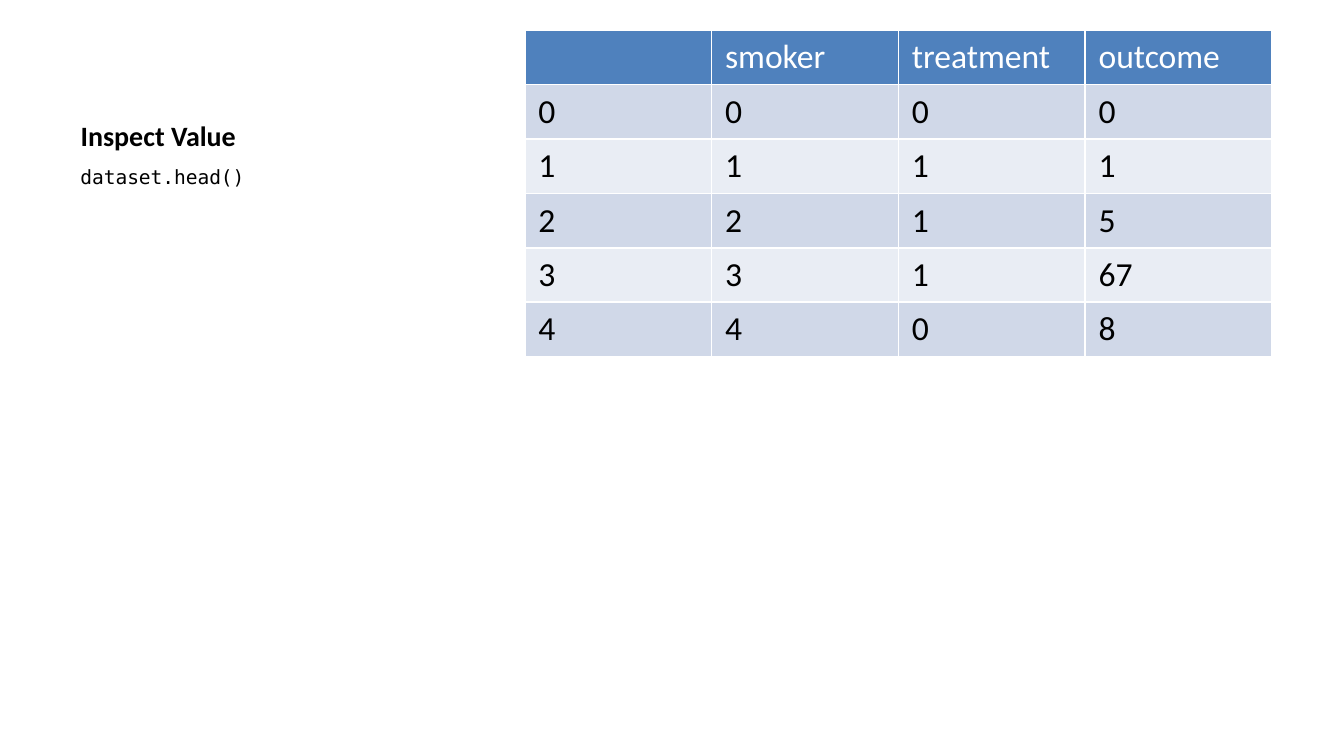
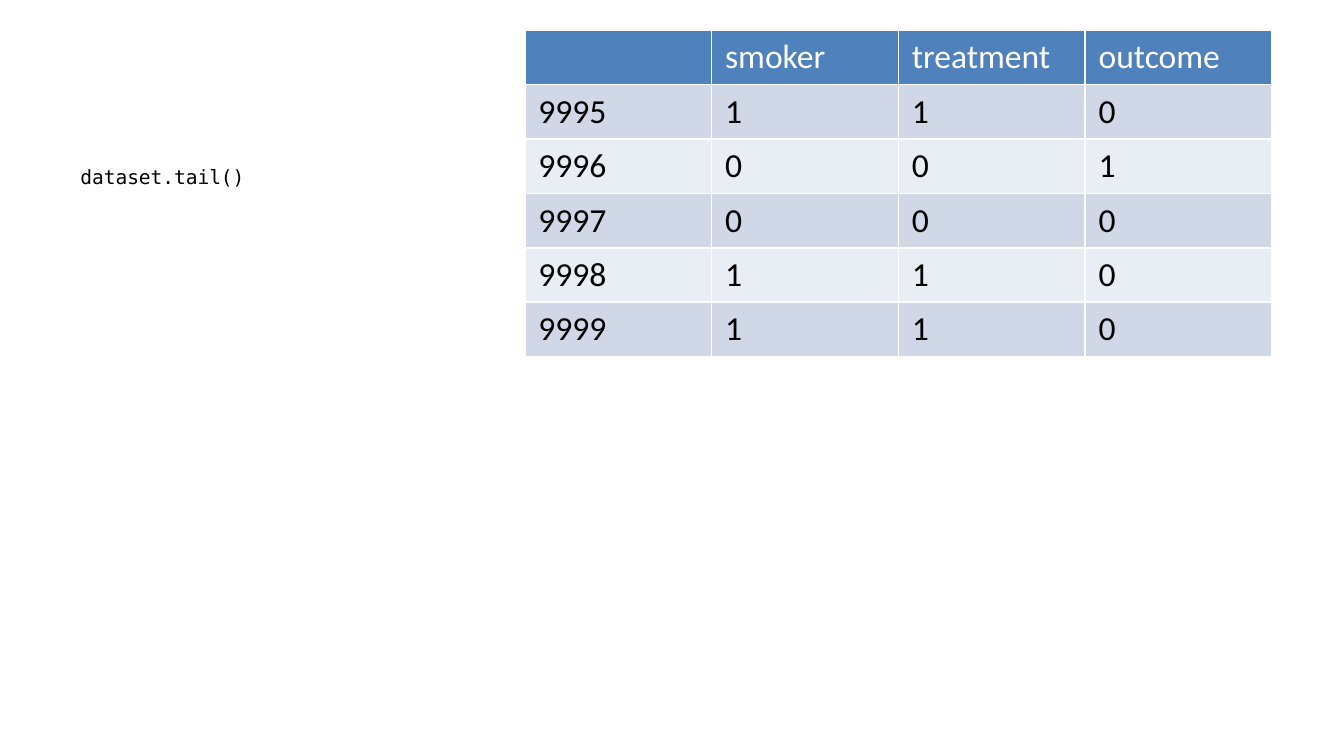
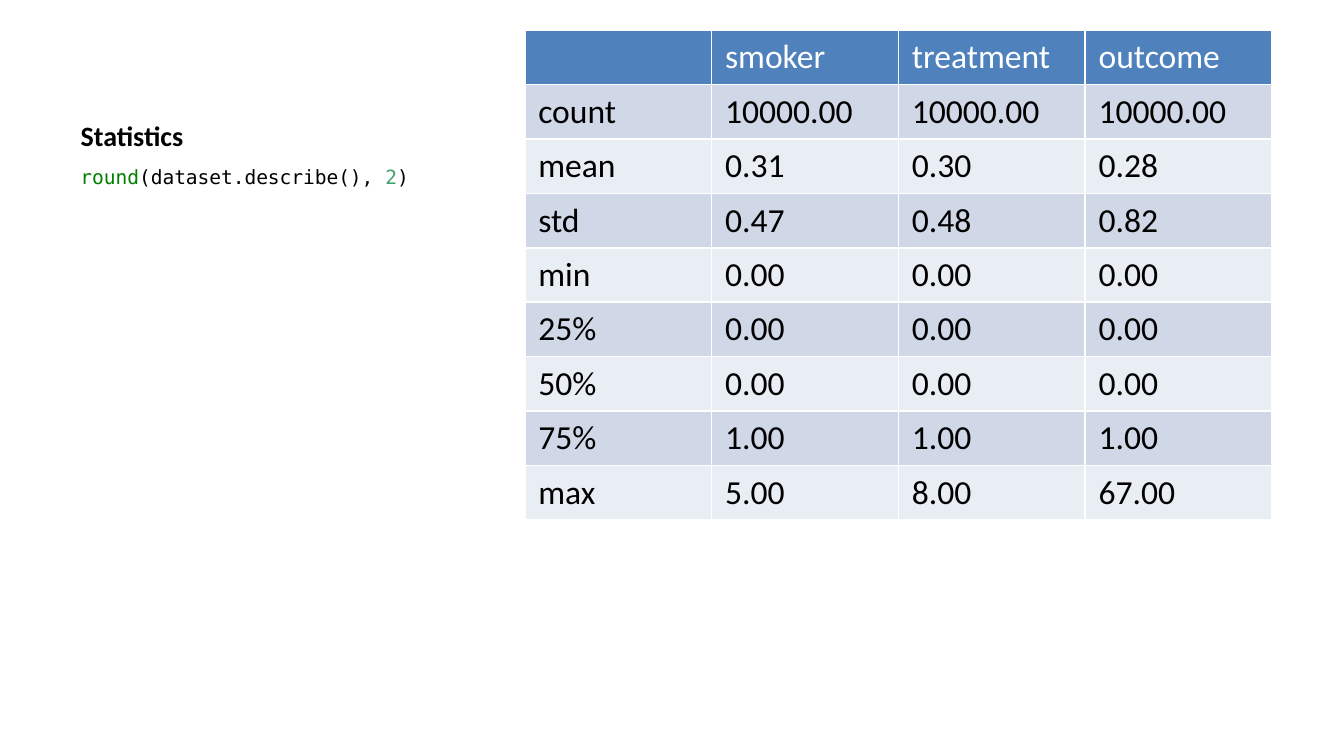
from collections import namedtuple

from pptx import Presentation
from pptx.dml.color import RGBColor
from pptx.enum.text import MSO_ANCHOR, MSO_AUTO_SIZE, PP_ALIGN
from pptx.util import Pt

Box = namedtuple("Box", "left top width height")

PX = 4572
SLIDE_WIDTH, SLIDE_HEIGHT = 2000, 1125
TITLE_BOX = Box(100, 45, 658, 191)
CODE_BOX = Box(100, 236, 658, 770)
TABLE_BOX = Box(781, 45, 1112, 958)
ROW_HEIGHT = 81

TITLE_ONLY_LAYOUT, BLANK_LAYOUT = 5, 6
TEXT_FONT = "Calibri"
CODE_FONT = "DejaVu Sans Mono"

BLACK = RGBColor(0x00, 0x00, 0x00)
WHITE = RGBColor(0xFF, 0xFF, 0xFF)
HEADER_BLUE = RGBColor(0x4F, 0x81, 0xBD)
BAND_DARK = RGBColor(0xD0, 0xD8, 0xE8)
BAND_LIGHT = RGBColor(0xE9, 0xED, 0xF4)
FUNCTION_GREEN = RGBColor(0x00, 0x80, 0x00)
NUMBER_GREEN = RGBColor(0x40, 0xA0, 0x70)

HEADER = ["", "smoker", "treatment", "outcome"]

HEAD_ROWS = [
    ["0", "0", "0", "0"],
    ["1", "1", "1", "1"],
    ["2", "2", "1", "5"],
    ["3", "3", "1", "67"],
    ["4", "4", "0", "8"],
]
TAIL_ROWS = [
    ["9995", "1", "1", "0"],
    ["9996", "0", "0", "1"],
    ["9997", "0", "0", "0"],
    ["9998", "1", "1", "0"],
    ["9999", "1", "1", "0"],
]
STATISTICS_ROWS = [
    ["count", "10000.00", "10000.00", "10000.00"],
    ["mean", "0.31", "0.30", "0.28"],
    ["std", "0.47", "0.48", "0.82"],
    ["min", "0.00", "0.00", "0.00"],
    ["25%", "0.00", "0.00", "0.00"],
    ["50%", "0.00", "0.00", "0.00"],
    ["75%", "1.00", "1.00", "1.00"],
    ["max", "5.00", "8.00", "67.00"],
]

SLIDES = [
    ("Inspect Value", [("dataset.head()", BLACK)], HEAD_ROWS),
    (None, [("dataset.tail()", BLACK)], TAIL_ROWS),
    (
        "Statistics",
        [
            ("round", FUNCTION_GREEN),
            ("(dataset.describe(), ", BLACK),
            ("2", NUMBER_GREEN),
            (")", BLACK),
        ],
        STATISTICS_ROWS,
    ),
]


def to_emu(box):
    return [length * PX for length in box]


def add_run(paragraph, text, size, color, font=TEXT_FONT, bold=False):
    run = paragraph.add_run()
    run.text = text
    run.font.name = font
    run.font.size = Pt(size)
    run.font.bold = bold
    run.font.color.rgb = color


def place_title(slide, box, text):
    title = slide.shapes.title
    title.left, title.top, title.width, title.height = to_emu(box)
    frame = title.text_frame
    frame.auto_size = MSO_AUTO_SIZE.NONE
    frame.vertical_anchor = MSO_ANCHOR.BOTTOM
    paragraph = frame.paragraphs[0]
    paragraph.alignment = PP_ALIGN.LEFT
    add_run(paragraph, text, 15, BLACK, bold=True)


def add_code(slide, box, tokens):
    frame = slide.shapes.add_textbox(*to_emu(box)).text_frame
    frame.word_wrap = True
    for text, color in tokens:
        add_run(frame.paragraphs[0], text, 10.5, color, CODE_FONT)


def add_data_table(slide, box, rows):
    table_rows = [HEADER] + rows
    graphic_frame = slide.shapes.add_table(len(table_rows), len(HEADER), *to_emu(box))
    table = graphic_frame.table
    for row_index, values in enumerate(table_rows):
        table.rows[row_index].height = ROW_HEIGHT * PX
        if row_index == 0:
            fill_color, text_color = HEADER_BLUE, WHITE
        else:
            fill_color = BAND_DARK if row_index % 2 else BAND_LIGHT
            text_color = BLACK
        for column_index, value in enumerate(values):
            cell = table.cell(row_index, column_index)
            cell.fill.solid()
            cell.fill.fore_color.rgb = fill_color
            if value:
                add_run(cell.text_frame.paragraphs[0], value, 18, text_color)
    graphic_frame.height = box.height * PX


def add_data_slide(presentation, title, code, rows):
    layout = TITLE_ONLY_LAYOUT if title else BLANK_LAYOUT
    slide = presentation.slides.add_slide(presentation.slide_layouts[layout])
    if title:
        place_title(slide, TITLE_BOX, title)
    add_code(slide, CODE_BOX, code)
    add_data_table(slide, TABLE_BOX, rows)


def main():
    presentation = Presentation()
    presentation.slide_width = SLIDE_WIDTH * PX
    presentation.slide_height = SLIDE_HEIGHT * PX
    for title, code, rows in SLIDES:
        add_data_slide(presentation, title, code, rows)
    presentation.save("out.pptx")


if __name__ == "__main__":
    main()
